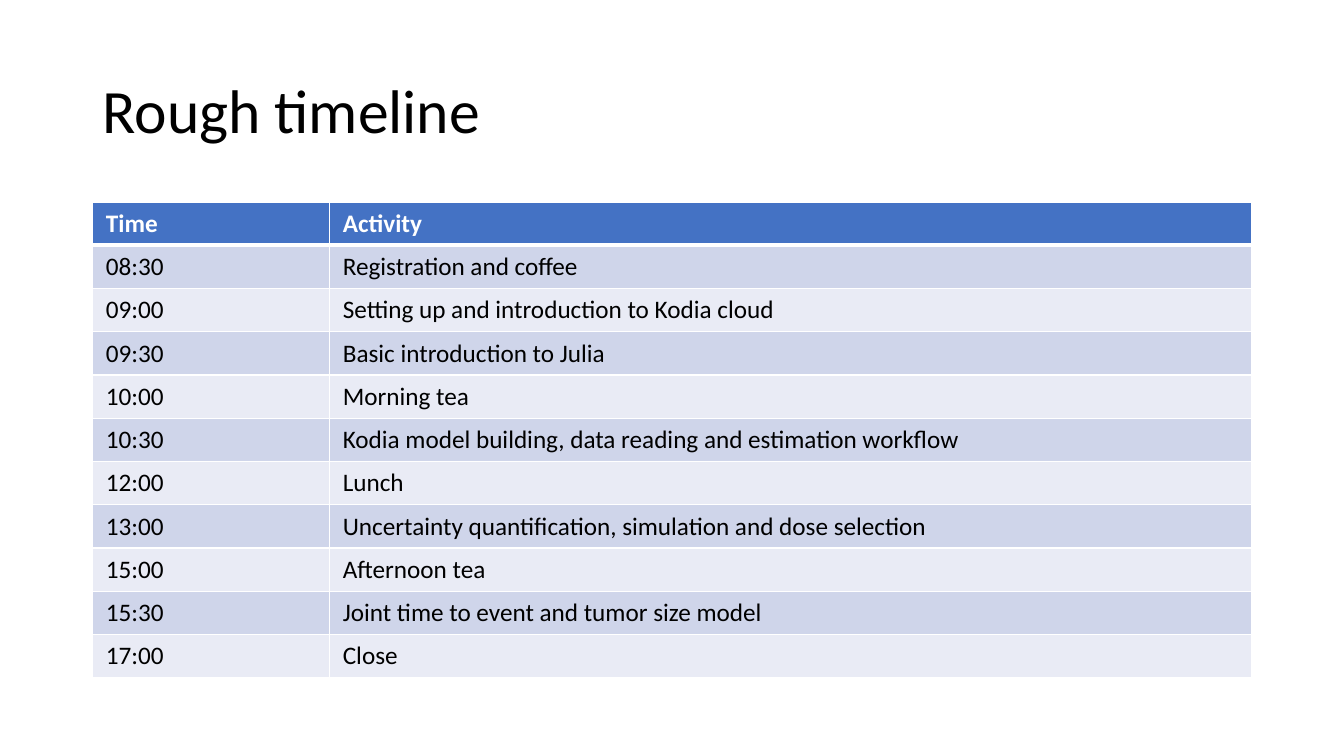
from lxml import etree
from pptx import Presentation
from pptx.dml.color import RGBColor
from pptx.enum import text
from pptx.oxml import ns
from pptx.util import Cm, Pt

# Content
TITLE = "Rough timeline"
HEADINGS = ("Time", "Activity")
TIMELINE = [
    ("08:30", "Registration and coffee"),
    ("09:00", "Setting up and introduction to Kodia cloud"),
    ("09:30", "Basic introduction to Julia"),
    ("10:00", "Morning tea"),
    ("10:30", "Kodia model building, data reading and estimation workflow"),
    ("12:00", "Lunch"),
    ("13:00", "Uncertainty quantification, simulation and dose selection"),
    ("15:00", "Afternoon tea"),
    ("15:30", "Joint time to event and tumor size model"),
    ("17:00", "Close"),
]

# Format
FONT = "Calibri"
BLACK = RGBColor(0x00, 0x00, 0x00)
WHITE = RGBColor(0xFF, 0xFF, 0xFF)
BLUE = RGBColor(0x44, 0x72, 0xC4)
BANDS = (RGBColor(0xCF, 0xD5, 0xEA), RGBColor(0xE9, 0xEB, 0xF5))
LEFT, WIDTH = Cm(2.33), Cm(29.21)
COLUMN_WIDTHS = (Cm(5.97), Cm(23.24))
ROW_HEIGHT = Cm(1.09)


def write(frame, words, size=18, color=BLACK, bold=False, spacing=1.0):
    frame.text = words
    paragraph = frame.paragraphs[0]
    paragraph.alignment = text.PP_ALIGN.LEFT
    paragraph.line_spacing = spacing
    font = paragraph.runs[0].font
    font.name, font.size, font.bold = FONT, Pt(size), bold
    font.color.rgb = color


def add_borders(cell, **widths):
    """Draw white borders; they have to stand before the cell's fill."""
    properties = cell._tc.get_or_add_tcPr()
    for position, side in enumerate("LRTB"):
        line = etree.Element(ns.qn(f"a:ln{side}"), w=str(Pt(widths.get(side, 1))))
        fill = etree.SubElement(line, ns.qn("a:solidFill"))
        etree.SubElement(fill, ns.qn("a:srgbClr"), val=str(WHITE))
        properties.insert(position, line)


prs = Presentation()
prs.slide_width, prs.slide_height = Cm(33.87), Cm(19.05)
slide = prs.slides.add_slide(prs.slide_layouts[5])

# Title
title = slide.shapes.title
title.left, title.top, title.width, title.height = LEFT, Cm(1.01), WIDTH, Cm(3.68)
title.text_frame.vertical_anchor = text.MSO_ANCHOR.MIDDLE
title.text_frame.word_wrap = True
write(title.text_frame, TITLE, size=44, spacing=0.9)

# Timeline table
rows = [HEADINGS, *TIMELINE]
timeline = slide.shapes.add_table(
    len(rows), len(HEADINGS), LEFT, Cm(5.09), WIDTH, ROW_HEIGHT * len(rows)
).table
for column, width in zip(timeline.columns, COLUMN_WIDTHS):
    column.width = width

for r, entries in enumerate(rows):
    timeline.rows[r].height = ROW_HEIGHT
    is_heading = r == 0
    for c, entry in enumerate(entries):
        cell = timeline.cell(r, c)
        cell.vertical_anchor = text.MSO_ANCHOR.MIDDLE
        cell.margin_left = cell.margin_right = Cm(0.34)
        cell.margin_top = cell.margin_bottom = Cm(0.15)
        cell.fill.solid()
        cell.fill.fore_color.rgb = BLUE if is_heading else BANDS[(r - 1) % 2]
        write(cell.text_frame, entry, color=WHITE if is_heading else BLACK, bold=is_heading)
        add_borders(cell, T=3 if r == 1 else 1, B=3 if is_heading else 1)

prs.save("out.pptx")
